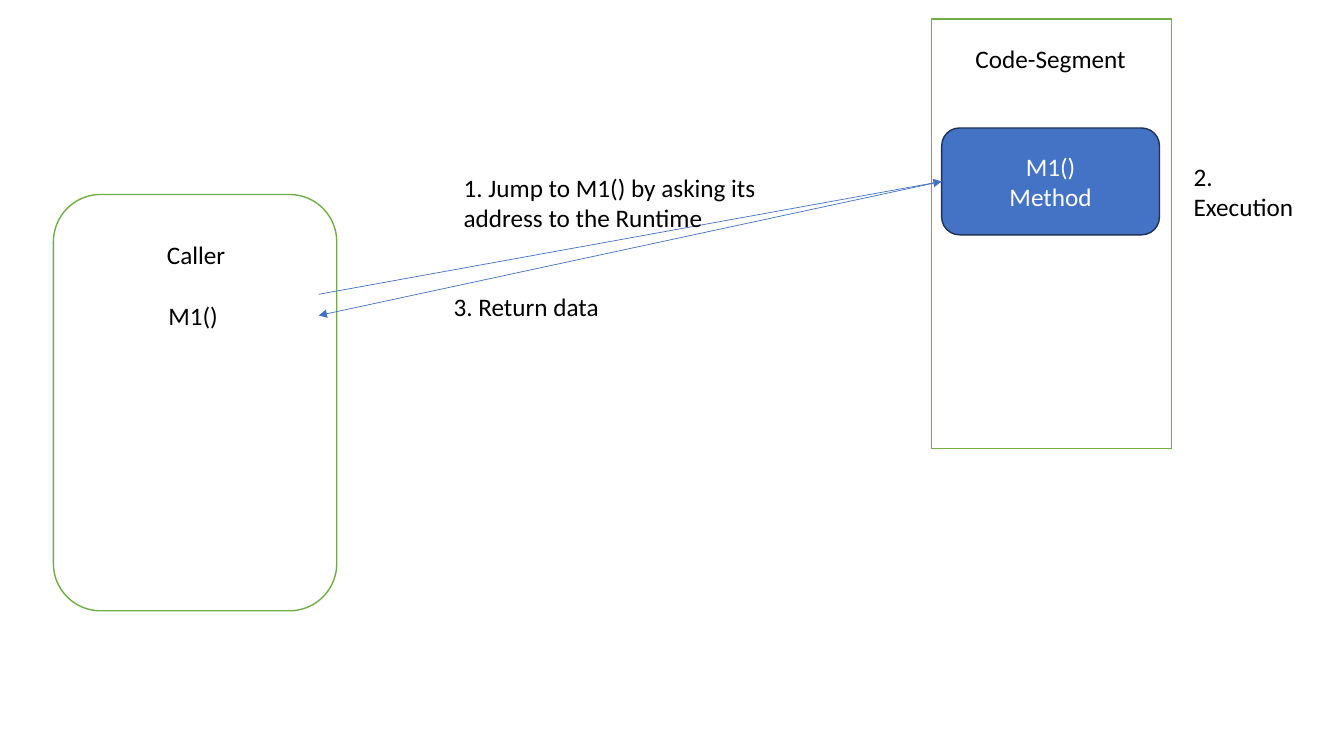
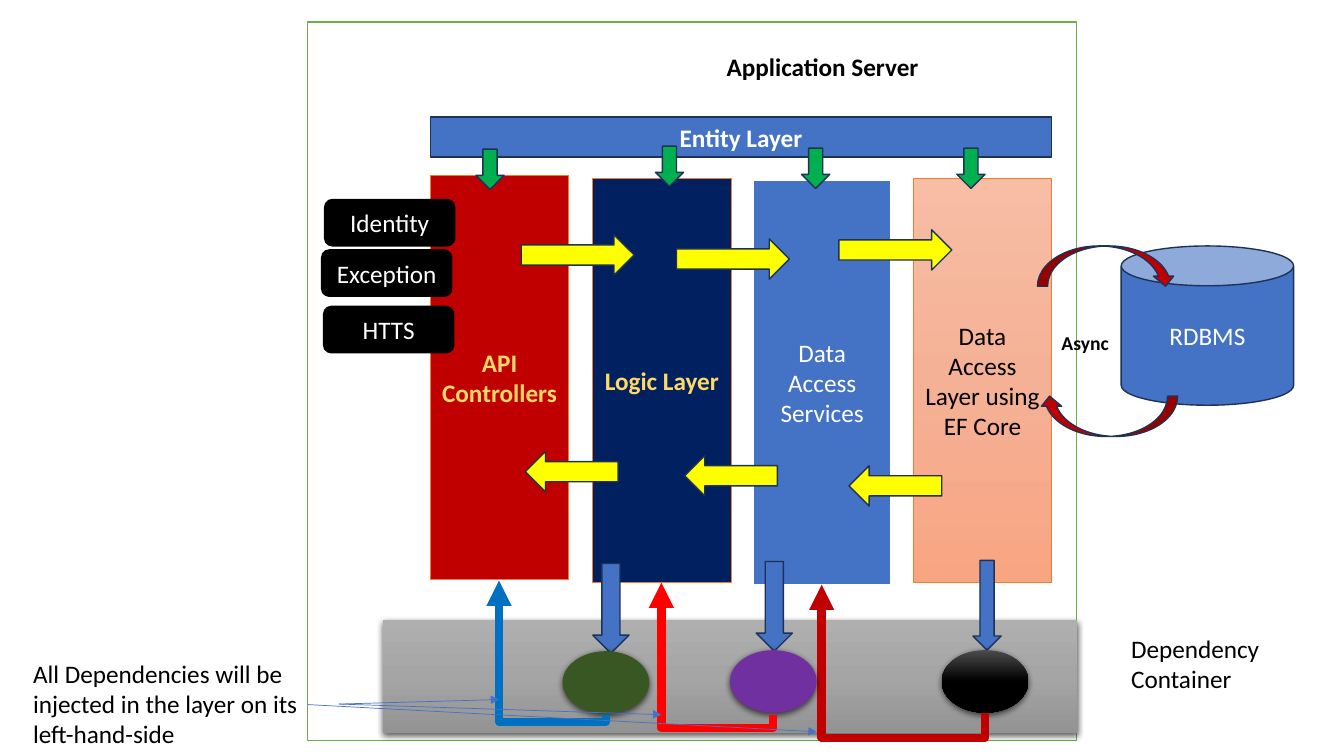
import copy
from dataclasses import dataclass
from typing import Optional

import pptx
import pptx.dml.color
import pptx.enum.shapes
import pptx.enum.text
import pptx.oxml
import pptx.oxml.ns
import pptx.oxml.xmlchemy
import pptx.util

Inches = pptx.util.Inches
Pt = pptx.util.Pt
RGBColor = pptx.dml.color.RGBColor
Kind = pptx.enum.shapes.MSO_SHAPE
Line = pptx.enum.shapes.MSO_CONNECTOR
Align = pptx.enum.text.PP_ALIGN
qn = pptx.oxml.ns.qn
new_element = pptx.oxml.xmlchemy.OxmlElement

# Shared look
FONT = "Calibri"
WHITE = RGBColor(0xFF, 0xFF, 0xFF)
BLACK = RGBColor(0x00, 0x00, 0x00)
BLUE = RGBColor(0x44, 0x72, 0xC4)
OUTLINE = RGBColor(0x1E, 0x32, 0x56)
GREEN = RGBColor(0x70, 0xAD, 0x47)
ARROW_GREEN = RGBColor(0x00, 0xB0, 0x50)
OLIVE = RGBColor(0x38, 0x57, 0x23)
YELLOW = RGBColor(0xFF, 0xFF, 0x00)
GOLD = RGBColor(0xFF, 0xD9, 0x66)
ORANGE = RGBColor(0xED, 0x7D, 0x31)
NAVY = RGBColor(0x00, 0x20, 0x60)
DARK_RED = RGBColor(0xC0, 0x00, 0x00)
RED = RGBColor(0xFF, 0x00, 0x00)
BRIGHT_BLUE = RGBColor(0x00, 0x70, 0xC0)
PURPLE = RGBColor(0x70, 0x30, 0xA0)
PEACH_GRADIENT = (RGBColor(0xF7, 0xBD, 0xA5), RGBColor(0xF5, 0xB1, 0x96), RGBColor(0xF8, 0xA5, 0x82))
GRAY_GRADIENT = (RGBColor(0xAF, 0xAF, 0xAF), RGBColor(0xA5, 0xA5, 0xA5), RGBColor(0x93, 0x93, 0x93))
BLACK_GRADIENT = (RGBColor(0x4B, 0x4B, 0x4B), BLACK, BLACK)

SHADOW_XML = (
    f'<a:outerShdw {pptx.oxml.ns.nsdecls("a")} blurRad="{Pt(4.5)}" dist="{Pt(1.5)}" dir="5400000" '
    'algn="ctr" rotWithShape="0"><a:srgbClr val="000000"><a:alpha val="63000"/></a:srgbClr></a:outerShdw>'
)


@dataclass(frozen=True)
class Style:
    fill: tuple[RGBColor, ...]
    line: Optional[RGBColor] = OUTLINE
    weight: float = 1
    color: RGBColor = WHITE
    bold: bool = False
    shadow: bool = False


@dataclass(frozen=True)
class Box:
    kind: Kind
    left: float
    top: float
    width: float
    height: float
    style: Style
    text: str = ""
    rotation: float = 0


@dataclass(frozen=True)
class Label:
    text: str
    left: float
    top: float
    width: float
    height: float = 0.4
    align: Align = Align.LEFT
    size: float = 18
    bold: bool = False


@dataclass(frozen=True)
class Arrow:
    start: tuple[float, float]
    end: tuple[float, float]


@dataclass(frozen=True)
class Injection:
    """A bent arrow that dips below its service and rises to the layer."""
    start: tuple[float, float]
    end: tuple[float, float]
    lowest: float
    color: RGBColor


FRAME = Style((WHITE,), GREEN)
SOLID_BLUE = Style((BLUE,))
BADGE = Style((BLACK,), BLACK)


def write_text(frame, text: str, align: Align, size: float, color: RGBColor, bold: bool) -> None:
    frame.word_wrap = True
    frame.text = text
    for paragraph in frame.paragraphs:
        paragraph.alignment = align
        paragraph.font.name = FONT
        paragraph.font.size = Pt(size)
        paragraph.font.bold = bold
        paragraph.font.color.rgb = color


def fill_shape(shape, colors: tuple[RGBColor, ...]) -> None:
    if len(colors) == 1:
        shape.fill.solid()
        shape.fill.fore_color.rgb = colors[0]
        return
    shape.fill.gradient()
    shape.fill.gradient_angle = 270
    stop_list = shape._element.spPr.find(".//" + qn("a:gsLst"))
    stop_list.append(copy.deepcopy(stop_list[-1]))
    for index, (stop, color) in enumerate(zip(shape.fill.gradient_stops, colors)):
        stop.color.rgb = color
        stop.position = index / (len(colors) - 1)


def add_box(slide, box: Box):
    shape = slide.shapes.add_shape(
        box.kind, Inches(box.left), Inches(box.top), Inches(box.width), Inches(box.height))
    style = box.style
    shape.rotation = box.rotation
    shape.shadow.inherit = False
    fill_shape(shape, style.fill)
    if style.line is None:
        shape.line.fill.background()
    else:
        shape.line.color.rgb = style.line
        shape.line.width = Pt(style.weight)
    if style.shadow:
        effects = shape._element.spPr.find(qn("a:effectLst"))
        effects.append(pptx.oxml.parse_xml(SHADOW_XML))
    if box.text:
        shape.text_frame.vertical_anchor = pptx.enum.text.MSO_ANCHOR.MIDDLE
        write_text(shape.text_frame, box.text, Align.CENTER, 18, style.color, style.bold)
    return shape


def add_label(slide, label: Label):
    shape = slide.shapes.add_textbox(
        Inches(label.left), Inches(label.top), Inches(label.width), Inches(label.height))
    write_text(shape.text_frame, label.text, label.align, label.size, BLACK, label.bold)
    shape.text_frame.auto_size = pptx.enum.text.MSO_AUTO_SIZE.SHAPE_TO_FIT_TEXT
    return shape


def finish_connector(connector, color: RGBColor, weight: float) -> None:
    connector.line.color.rgb = color
    connector.line.width = Pt(weight)
    properties = connector._element.spPr
    tail = new_element("a:tailEnd")
    tail.set("type", "triangle")
    properties.find(qn("a:ln")).append(tail)
    properties.append(new_element("a:effectLst"))


def add_arrow(slide, arrow: Arrow):
    connector = slide.shapes.add_connector(
        Line.STRAIGHT, *(Inches(value) for value in arrow.start + arrow.end))
    finish_connector(connector, BLUE, 0.5)
    return connector


def add_injection(slide, injection: Injection) -> None:
    (start_x, start_y), (end_x, end_y) = injection.start, injection.end
    # The preset runs sideways, so its box is mirrored and turned a quarter
    center_x, center_y = (start_x + end_x) / 2, (start_y + end_y) / 2
    half_width, half_height = (start_y - end_y) / 2, (start_x - end_x) / 2
    connector = slide.shapes.add_connector(
        Line.ELBOW,
        Inches(center_x + half_width), Inches(center_y - half_height),
        Inches(center_x - half_width), Inches(center_y + half_height))
    connector.rotation = 90
    geometry = connector._element.spPr.find(qn("a:prstGeom"))
    dip = (injection.lowest - start_y) / (start_y - end_y)
    guide = new_element("a:gd")
    guide.set("name", "adj1")
    guide.set("fmla", f"val {round(-dip * 100000)}")
    geometry.get_or_add_avLst().append(guide)
    finish_connector(connector, injection.color, 6)


def build_method_call(slide) -> None:
    # Code segment and its method
    add_box(slide, Box(Kind.RECTANGLE, 9.24, 0.19, 2.38, 4.26, FRAME))
    add_label(slide, Label("Code-Segment", 9.34, 0.38, 2.16, align=Align.CENTER))
    method = add_box(slide, Box(Kind.ROUNDED_RECTANGLE, 9.34, 1.27, 2.16, 1.06, SOLID_BLUE, "M1()\nMethod"))

    # Caller
    add_box(slide, Box(Kind.ROUNDED_RECTANGLE, 0.53, 1.93, 2.81, 4.13, FRAME))
    add_label(slide, Label("Caller", 0.85, 2.33, 2.19, align=Align.CENTER))
    add_label(slide, Label("M1()", 0.67, 2.93, 2.49, align=Align.CENTER))

    # Call, execution and return
    method_side = (9.34, 1.8)
    add_arrow(slide, Arrow((3.16, 2.92), method_side)).end_connect(method, 1)
    add_arrow(slide, Arrow(method_side, (3.16, 3.13))).begin_connect(method, 1)
    for label in (
        Label("1. Jump to M1() by asking its address to the Runtime", 4.5, 1.66, 3.15, 0.71),
        Label("2. Execution", 11.74, 1.55, 1.29, 0.71),
        Label("3. Return data", 4.4, 2.84, 3.99),
    ):
        add_label(slide, label)


def build_architecture(slide) -> None:
    # Server and database
    add_box(slide, Box(Kind.CAN, 11.12, 2.44, 1.71, 1.58, SOLID_BLUE, "RDBMS"))
    add_box(slide, Box(Kind.RECTANGLE, 3.05, 0.22, 7.63, 7.13, FRAME))
    add_label(slide, Label("Application Server", 6.03, 0.46, 4.26, align=Align.CENTER, bold=True))

    # Layers
    for left, top, text, style in (
        (4.27, 1.74, "API Controllers", Style((DARK_RED,), ORANGE, 0.5, GOLD, True)),
        (5.88, 1.77, "Logic Layer", Style((NAVY,), ORANGE, 0.5, GOLD, True)),
        (7.47, 1.79, "Data Access Services", Style((BLUE,), WHITE, 1.5)),
        (9.06, 1.77, "Data Access Layer using EF Core", Style(PEACH_GRADIENT, ORANGE, 0.5, BLACK)),
    ):
        add_box(slide, Box(Kind.RECTANGLE, left, top, 1.37, 4.01, style, text))
    add_box(slide, Box(Kind.RECTANGLE, 4.27, 1.16, 6.16, 0.4, Style((BLUE,), bold=True), "Entity Layer"))
    for left, top in ((4.72, 1.48), (6.5, 1.45), (7.95, 1.47), (9.49, 1.47)):
        add_box(slide, Box(Kind.DOWN_ARROW, left, top, 0.28, 0.4, Style((ARROW_GREEN,))))

    # Dependency container
    add_box(slide, Box(Kind.FLOWCHART_PROCESS, 3.8, 6.15, 6.88, 1.12, Style(GRAY_GRADIENT, None, shadow=True)))
    add_label(slide, Label("Dependency Container", 11.12, 6.23, 1.71, 0.71))
    for left, top, width in ((5.88, 5.59, 0.36), (7.5, 5.57, 0.36), (9.65, 5.56, 0.28)):
        add_box(slide, Box(Kind.DOWN_ARROW, left, top, width, 0.89, SOLID_BLUE))

    # Registered services, each injected into the layer on its left
    for left, top, fill, injection in (
        (9.34, 6.45, BLACK_GRADIENT, Injection((9.77, 7.07), (8.15, 5.8), 7.32, DARK_RED)),
        (7.24, 6.45, (PURPLE,), Injection((7.67, 7.09), (6.56, 5.78), 7.22, RED)),
        (5.58, 6.46, (OLIVE,), Injection((6.01, 7.09), (4.95, 5.76), 7.16, BRIGHT_BLUE)),
    ):
        add_box(slide, Box(Kind.OVAL, left, top, 0.86, 0.62, Style(fill, None, shadow=True)))
        add_injection(slide, injection)

    # Note on injection
    note = add_label(slide, Label(
        "All Dependencies will be injected in the layer on its left-hand-side", 0.23, 6.48, 3.13, 1.01))
    for end in ((4.95, 6.94), (6.56, 7.09)):
        add_arrow(slide, Arrow((3.36, 6.99), end)).begin_connect(note, 3)
    add_arrow(slide, Arrow((3.05, 6.99), (8.1, 7.26)))

    # Asynchronous database access
    for left, top, rotation in ((10.29, 2.44, 0), (10.31, 3.93, 180)):
        add_box(slide, Box(
            Kind.CURVED_DOWN_ARROW, left, top, 1.37, 0.4, Style((DARK_RED,)), rotation=rotation))
    add_label(slide, Label("Async", 10.43, 3.23, 0.7, 0.34, size=14, bold=True))

    # Middleware
    for left, top, text in ((3.22, 1.98, "Identity"), (3.19, 2.48, "Exception"), (3.21, 3.04, "HTTS")):
        add_box(slide, Box(Kind.ROUNDED_RECTANGLE, left, top, 1.29, 0.46, BADGE, text))

    # Requests go right, responses go left
    for kind, width, places in (
        (Kind.RIGHT_ARROW, 1.12, ((5.17, 2.33), (6.71, 2.37), (8.32, 2.28))),
        (Kind.LEFT_ARROW, 0.92, ((5.21, 4.48), (6.79, 4.52), (8.42, 4.62))),
    ):
        for left, top in places:
            add_box(slide, Box(kind, left, top, width, 0.4, Style((YELLOW,))))


def main() -> None:
    presentation = pptx.Presentation()
    presentation.slide_width = Inches(13.33)
    presentation.slide_height = Inches(7.5)
    blank = presentation.slide_layouts[6]
    for build in (build_method_call, build_architecture):
        build(presentation.slides.add_slide(blank))
    presentation.save("out.pptx")


if __name__ == "__main__":
    main()
